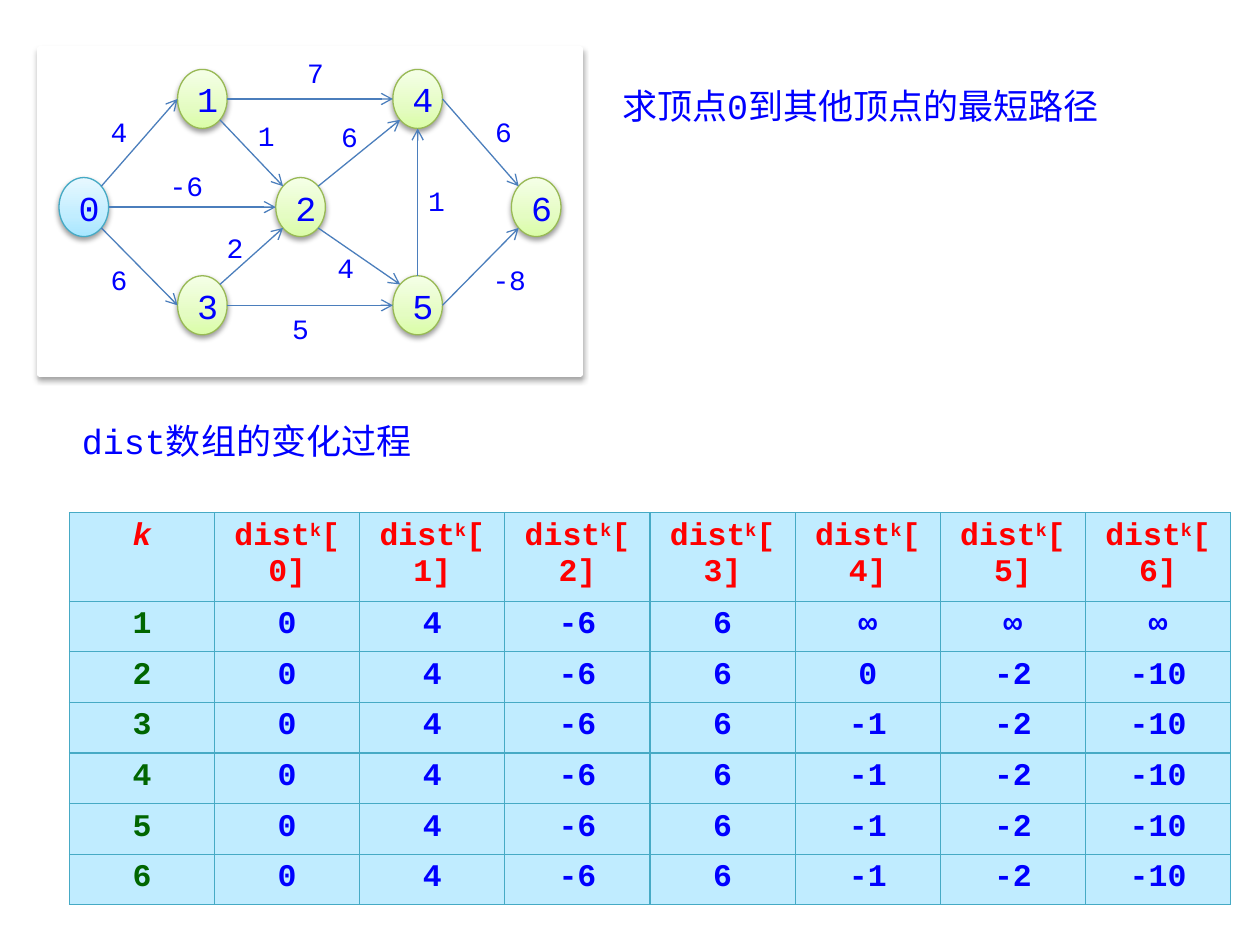
from math import sqrt

from lxml.etree import SubElement
from pptx import Presentation
from pptx.dml.color import RGBColor
from pptx.enum.shapes import MSO_CONNECTOR, MSO_SHAPE
from pptx.enum.text import PP_ALIGN
from pptx.oxml import parse_xml
from pptx.oxml.ns import nsdecls, qn
from pptx.util import Cm, Pt

FONT = "Courier New"
BLUE = RGBColor(0x00, 0x00, 0xFF)
RED = RGBColor(0xFF, 0x00, 0x00)
GREEN = RGBColor(0x00, 0x66, 0x00)
WHITE = RGBColor(0xFF, 0xFF, 0xFF)
EDGE_BLUE = RGBColor(0x4B, 0x7E, 0xBC)
TEAL = RGBColor(0x46, 0xAA, 0xC5)
LEAF = RGBColor(0x98, 0xB9, 0x55)
CELL_BLUE = RGBColor(0xC0, 0xEC, 0xFF)
SOURCE_STOPS = (RGBColor(0xA7, 0xE6, 0xFF), RGBColor(0xC1, 0xED, 0xFF), RGBColor(0xE7, 0xF8, 0xFF))
OTHER_STOPS = (RGBColor(0xDA, 0xFD, 0xA7), RGBColor(0xE4, 0xFC, 0xC2), RGBColor(0xF5, 0xFF, 0xE7))

# Vertex positions in centimetres: left, top
NODE_WIDTH, NODE_HEIGHT = 1.0, 1.19
TOP, MIDDLE, BOTTOM = 1.4, 3.58, 5.56
NODES = [
    (1.19, MIDDLE), (3.58, TOP), (5.56, MIDDLE), (3.58, BOTTOM),
    (7.92, TOP), (7.92, BOTTOM), (10.31, MIDDLE),
]

# Points on the ellipse, as directions from its centre
DIAGONAL = sqrt(0.5)
SITES = {
    "N": (0, -1), "S": (0, 1), "W": (-1, 0), "E": (1, 0),
    "NW": (-DIAGONAL, -DIAGONAL), "NE": (DIAGONAL, -DIAGONAL),
    "SW": (-DIAGONAL, DIAGONAL), "SE": (DIAGONAL, DIAGONAL),
}

# From vertex and side, to vertex and side, weight, weight left and top
EDGES = [
    (0, "NE", 1, "W", "4", 1.98, 2.18),
    (0, "SE", 3, "W", "6", 1.98, 5.16),
    (0, "E", 2, "W", "-6", 3.17, 3.28),
    (1, "SE", 2, "NW", "1", 4.95, 2.26),
    (1, "E", 4, "W", "7", 5.94, 0.99),
    (2, "NE", 4, "SW", "6", 6.63, 2.29),
    (5, "N", 4, "S", "1", 8.38, 3.58),
    (3, "NE", 2, "SW", "2", 4.32, 4.52),
    (2, "SE", 5, "NW", "4", 6.55, 4.93),
    (3, "E", 5, "W", "5", 5.64, 6.15),
    (5, "E", 6, "SW", "-8", 9.93, 5.16),
    (4, "E", 6, "NW", "6", 9.73, 2.18),
]

DIST_ROWS = [
    ["0", "4", "-6", "6", "∞", "∞", "∞"],
    ["0", "4", "-6", "6", "0", "-2", "-10"],
    *[["0", "4", "-6", "6", "-1", "-2", "-10"]] * 4,
]


def add_run(para, text, size, color=BLUE, bold=None, italic=None):
    span = para.add_run()
    span.text = text
    font = span.font
    font.name, font.size, font.bold, font.italic = FONT, Pt(size), bold, italic
    font.color.rgb = color
    return span


def add_text(shapes, left, top, width, height, text, size):
    box = shapes.add_textbox(Cm(left), Cm(top), Cm(width), Cm(height))
    box.text_frame.word_wrap = True
    add_run(box.text_frame.paragraphs[0], text, size)
    return box


def set_shadow(shape, distance, opacity):
    shape._element.spPr.append(parse_xml(
        f'<a:effectLst {nsdecls("a")}>'
        f'<a:outerShdw blurRad="{Pt(3.1)}" dist="{Pt(distance)}" dir="5400000" rotWithShape="0">'
        f'<a:srgbClr val="000000"><a:alpha val="{opacity * 1000}"/></a:srgbClr>'
        '</a:outerShdw></a:effectLst>'))


def set_gradient(shape, colors):
    stops = "".join(
        f'<a:gs pos="{percent * 1000}"><a:srgbClr val="{color}"/></a:gs>'
        for percent, color in zip((0, 35, 100), colors))
    shape._element.spPr.find(qn("a:prstGeom")).addnext(parse_xml(
        f'<a:gradFill {nsdecls("a")} rotWithShape="1"><a:gsLst>{stops}</a:gsLst>'
        '<a:lin ang="16200000" scaled="0"/></a:gradFill>'))


def add_panel(shapes):
    panel = shapes.add_shape(MSO_SHAPE.RECTANGLE, Cm(0.79), Cm(0.99), Cm(10.92), Cm(6.55))
    panel.fill.solid()
    panel.fill.fore_color.rgb = WHITE
    panel.line.color.rgb = WHITE
    panel.line.width = Pt(3)
    set_shadow(panel, 1.8, 35)


def add_node(shapes, number, left, top):
    node = shapes.add_shape(MSO_SHAPE.OVAL, Cm(left), Cm(top), Cm(NODE_WIDTH), Cm(NODE_HEIGHT))
    is_source = number == 0
    set_gradient(node, SOURCE_STOPS if is_source else OTHER_STOPS)
    node.line.color.rgb = TEAL if is_source else LEAF
    node.line.width = Pt(0.75)
    set_shadow(node, 1.6, 38)
    para = node.text_frame.paragraphs[0]
    para.alignment = PP_ALIGN.CENTER
    add_run(para, str(number), 20)


def site_point(number, side):
    left, top = NODES[number]
    across, down = SITES[side]
    return Cm(left + NODE_WIDTH * (1 + across) / 2), Cm(top + NODE_HEIGHT * (1 + down) / 2)


def add_edge(shapes, start, start_side, end, end_side):
    edge = shapes.add_connector(
        MSO_CONNECTOR.STRAIGHT, *site_point(start, start_side), *site_point(end, end_side))
    edge.line.color.rgb = EDGE_BLUE
    edge.line.width = Pt(0.75)
    SubElement(edge.line._get_or_add_ln(), qn("a:tailEnd"), type="arrow")
    SubElement(edge._element.spPr, qn("a:effectLst"))


def add_weight(shapes, text, left, top):
    box = add_text(shapes, left, top, 1.4 if text == "-6" else 0.79, 0.94, text, 16)
    if text == "-8":
        box.text_frame.margin_left = box.text_frame.margin_right = 0


def add_graph(page):
    shapes = page.shapes.add_group_shape().shapes
    add_panel(shapes)
    for number, position in enumerate(NODES):
        add_node(shapes, number, *position)
    for *ends, weight, left, top in EDGES:
        add_edge(shapes, *ends)
        add_weight(shapes, weight, left, top)


def style_cell(cell):
    cell.fill.solid()
    cell.fill.fore_color.rgb = CELL_BLUE
    for index, side in enumerate(("lnL", "lnR", "lnT", "lnB")):
        cell._tc.tcPr.insert(index, parse_xml(
            f'<a:{side} {nsdecls("a")} w="{Pt(0.75)}"><a:solidFill>'
            f'<a:srgbClr val="{TEAL}"/></a:solidFill></a:{side}>'))
    para = cell.text_frame.paragraphs[0]
    para.alignment = PP_ALIGN.CENTER
    return para


def add_dist_table(page):
    columns = len(NODES) + 1
    table = page.shapes.add_table(
        len(DIST_ROWS) + 1, columns, Cm(1.4), Cm(10.34), Cm(23.41), Cm(7.88)).table
    for index, row in enumerate(table.rows):
        row.height = Cm(1.02 if index else 1.76)

    # Header row
    add_run(style_cell(table.cell(0, 0)), "k", 18, RED, True, True)
    for vertex in range(len(NODES)):
        para = style_cell(table.cell(0, vertex + 1))
        add_run(para, "dist", 18, RED, True)
        power = add_run(para, "k", 18, RED, True)
        power.font._element.set("baseline", "30000")
        add_run(para, f"[{vertex}]", 18, RED, True)

    # One row per value of k
    for k, distances in enumerate(DIST_ROWS, start=1):
        for column, text in enumerate([str(k), *distances]):
            para = style_cell(table.cell(k, column))
            add_run(para, text, 18, BLUE if column else GREEN, True)


def main():
    deck = Presentation()
    deck.slide_width, deck.slide_height = Cm(25.4), Cm(19.05)
    page = deck.slides.add_slide(deck.slide_layouts[6])
    add_text(page.shapes, 1.4, 8.33, 8.99, 1.12, "dist数组的变化过程", 20)
    add_text(page.shapes, 12.29, 1.57, 10.82, 1.12, "求顶点0到其他顶点的最短路径", 20)
    add_dist_table(page)
    add_graph(page)
    deck.save("out.pptx")


if __name__ == "__main__":
    main()
